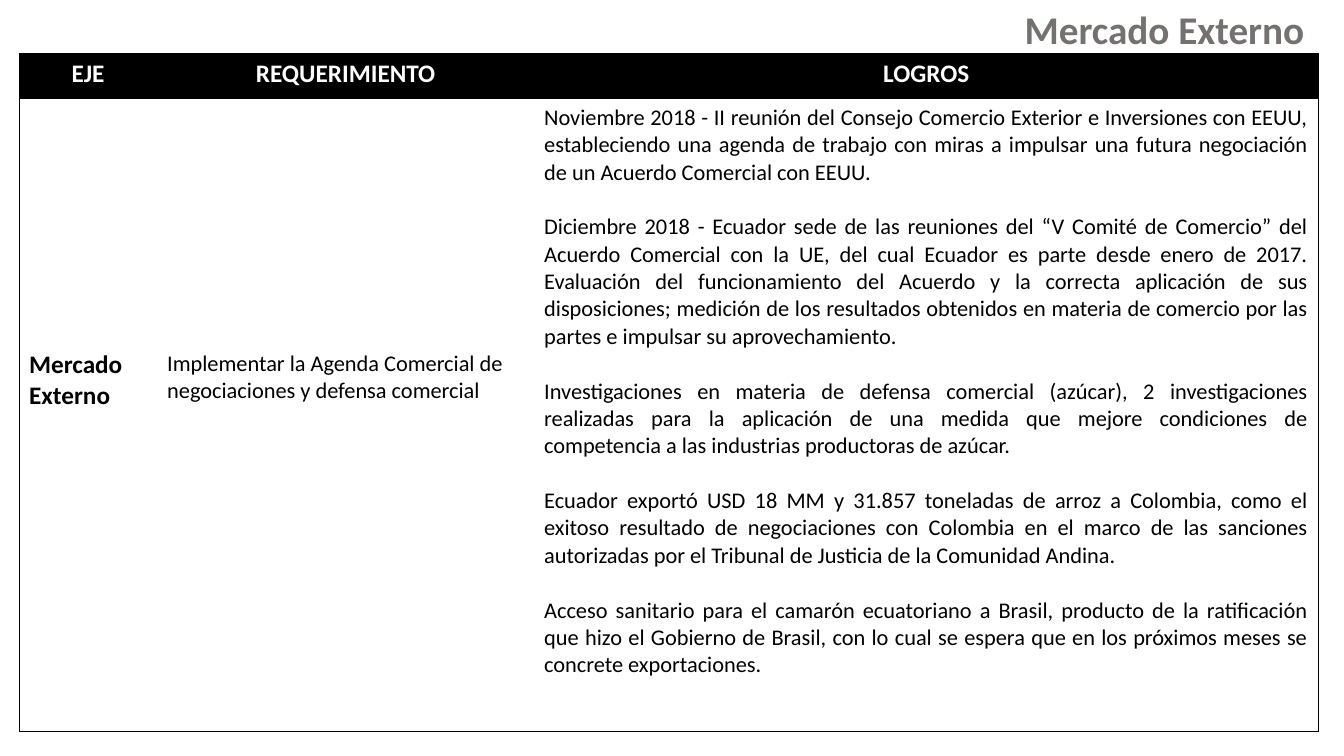
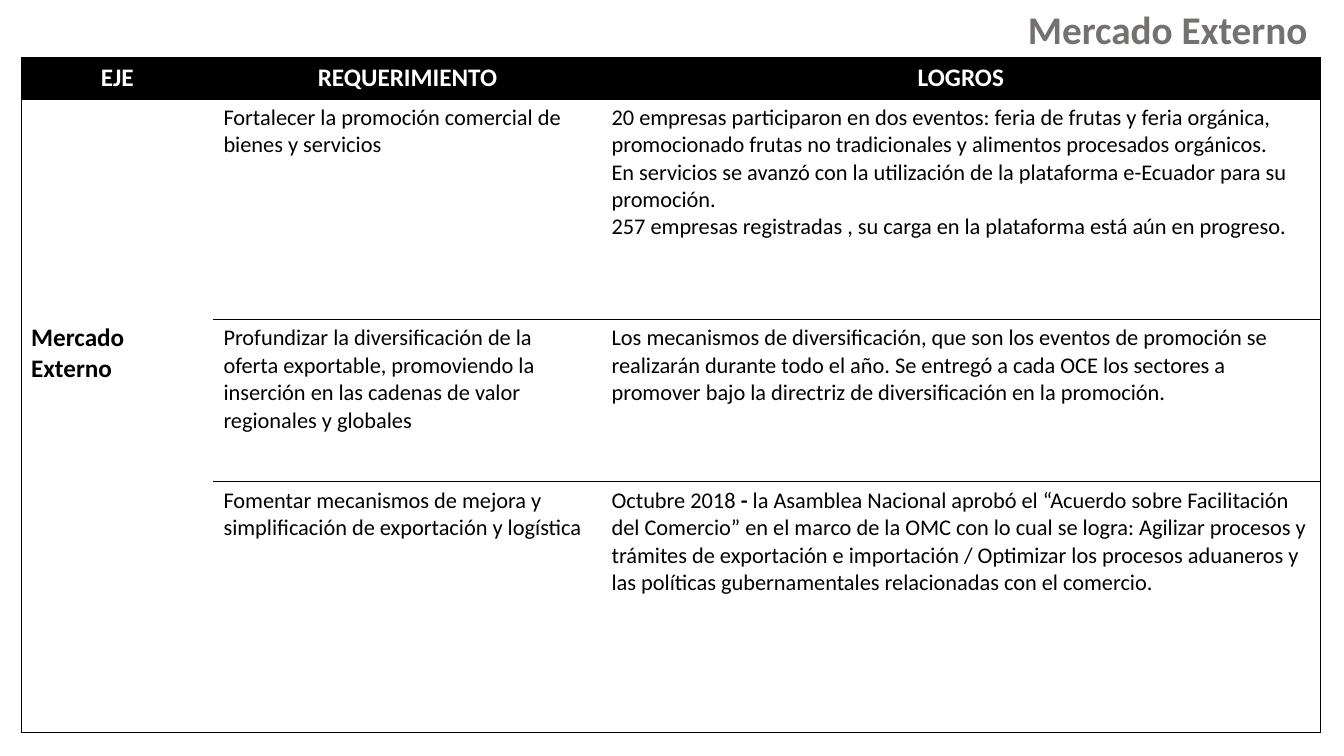
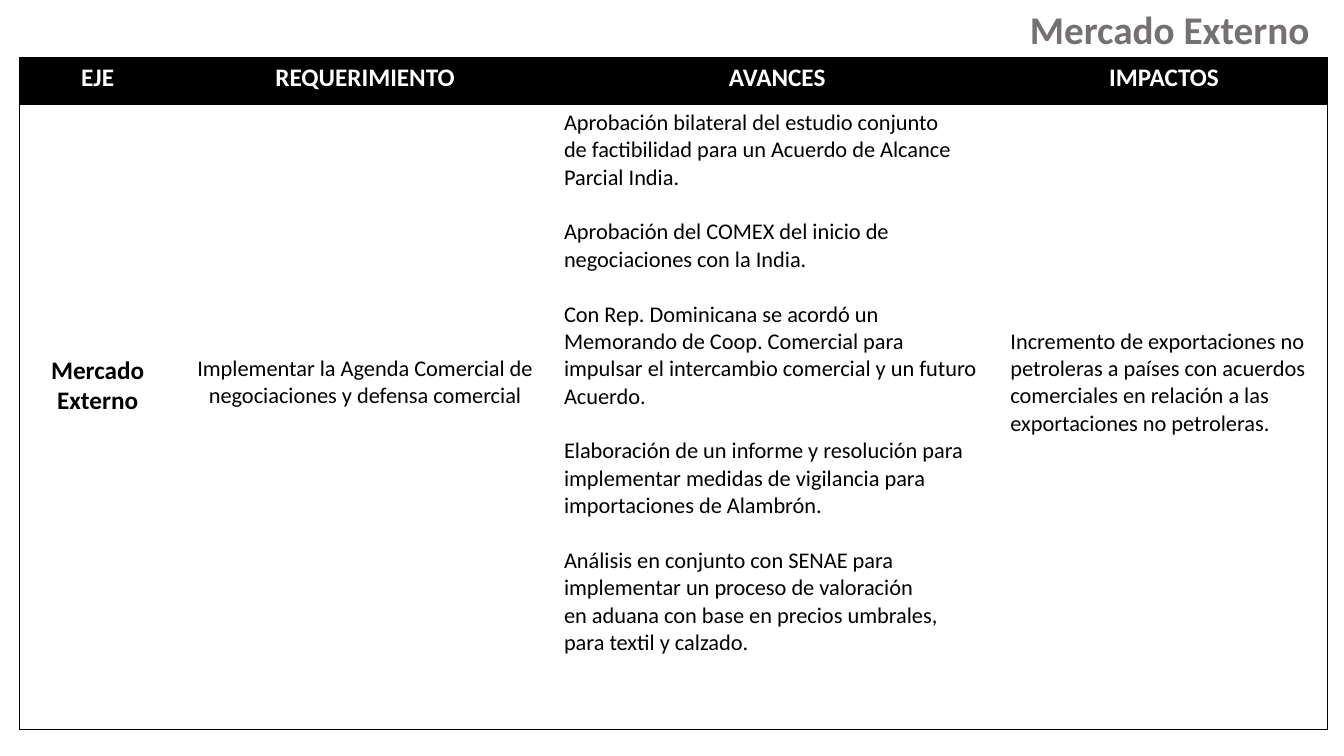
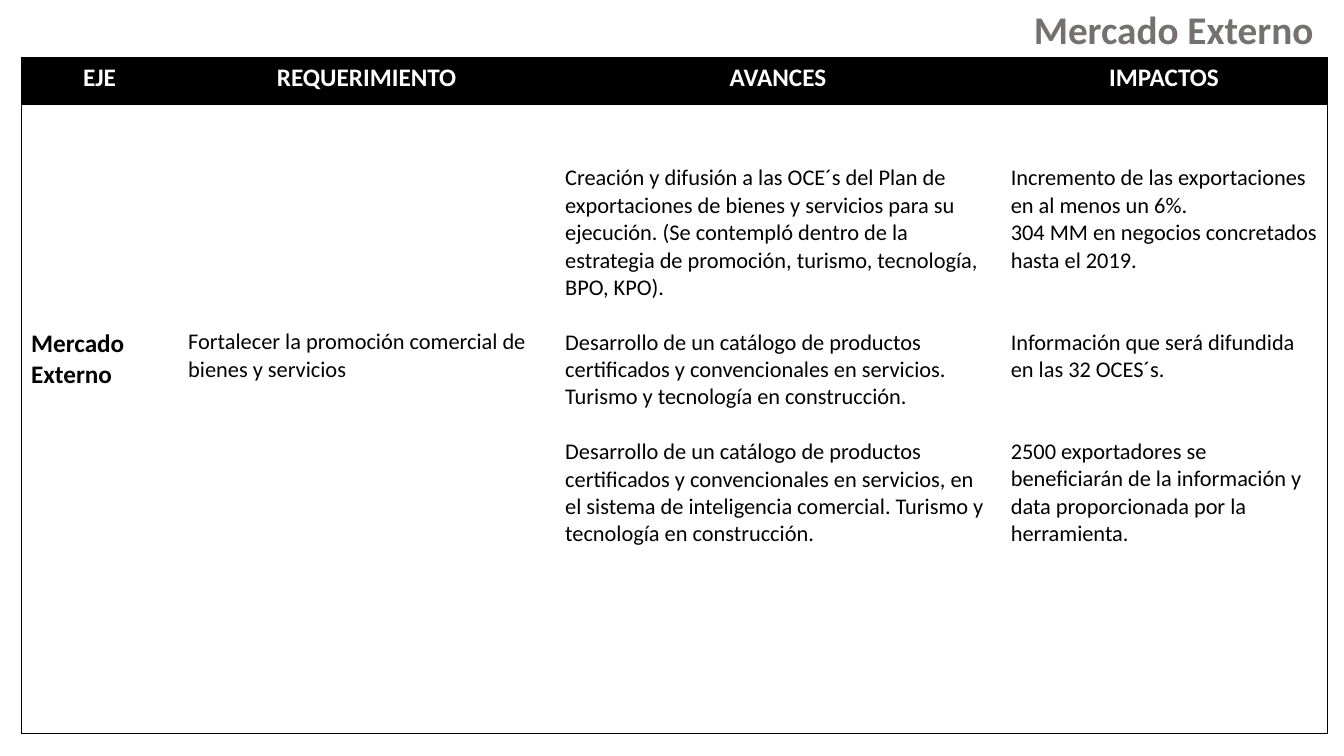
from dataclasses import dataclass

from lxml import etree
from pptx import Presentation
from pptx import util as u
from pptx.dml.color import RGBColor
from pptx.enum import text
from pptx.oxml.ns import qn

COLORS = {"title": "767171", "ink": "000000", "paper": "FFFFFF"}
FONT = "Calibri"
LINE_HEIGHT = u.Pt(19.53)
CELL_MARGIN = u.Cm(0.13)
BORDER_WIDTH = u.Pt(0.5)
TITLE_WIDTH, TITLE_HEIGHT = u.Cm(10.95), u.Cm(1.45)

LEFT, CENTER, RIGHT, JUSTIFY = (
    text.PP_ALIGN.LEFT,
    text.PP_ALIGN.CENTER,
    text.PP_ALIGN.RIGHT,
    text.PP_ALIGN.JUSTIFY,
)


@dataclass
class Entry:
    """Paragraphs as (empty lines above, wording); | switches bold on and off."""

    paragraphs: list
    alignment: int = LEFT
    size: int = 16
    bold: bool = False
    color: str = "ink"


def heading(wording):
    return Entry([(0, wording)], CENTER, 18, True, "paper")


def axis(lines_above, alignment=LEFT):
    return Entry([(lines_above, "Mercado Externo")], alignment, 18, True)


def spaced(*wordings):
    return [(int(index > 0), wording) for index, wording in enumerate(wordings)]


def style_font(font, size, bold, color):
    font.name = FONT
    font.size = u.Pt(size)
    font.bold = bold
    font.color.rgb = RGBColor.from_string(COLORS[color])


def add_title(slide, right):
    title = slide.shapes.title
    title.left, title.top = right - TITLE_WIDTH, 0
    title.width, title.height = TITLE_WIDTH, TITLE_HEIGHT
    frame = title.text_frame
    frame.text = "Mercado Externo"
    frame.auto_size = text.MSO_AUTO_SIZE.NONE
    frame.vertical_anchor = text.MSO_ANCHOR.TOP
    paragraph = frame.paragraphs[0]
    paragraph.alignment = RIGHT
    style_font(paragraph.runs[0].font, 28, True, "title")


def set_borders(cell, visible):
    properties = cell._tc.get_or_add_tcPr()
    for side in "LRTB":
        line = etree.SubElement(properties, qn(f"a:ln{side}"), w=str(BORDER_WIDTH))
        if side in visible:
            fill = etree.SubElement(line, qn("a:solidFill"))
            etree.SubElement(fill, qn("a:srgbClr"), val=COLORS["ink"])
        else:
            etree.SubElement(line, qn("a:noFill"))


def fill_text(cell, entry):
    frame = cell.text_frame
    for index, (lines_above, wording) in enumerate(entry.paragraphs):
        gap = int(lines_above * LINE_HEIGHT)
        if index == 0:
            paragraph = frame.paragraphs[0]
            cell.margin_top = CELL_MARGIN + gap
        else:
            paragraph = frame.add_paragraph()
            paragraph.space_before = gap
        paragraph.alignment = entry.alignment
        for part, segment in enumerate(wording.split("|")):
            for number, line in enumerate(segment.split("\n")):
                if number:
                    paragraph.add_line_break()
                run = paragraph.add_run()
                run.text = line
                style_font(run.font, entry.size, entry.bold or part % 2 == 1, entry.color)


def add_grid(slide, left, top, widths, heights, rows):
    table = slide.shapes.add_table(
        len(heights), len(widths), left, top,
        u.Cm(sum(widths)), u.Cm(sum(heights)),
    ).table
    for column, width in zip(table.columns, widths):
        column.width = u.Cm(width)
    for row, height in zip(table.rows, heights):
        row.height = u.Cm(height)
    if len(heights) > 2:
        table.cell(1, 0).merge(table.cell(len(heights) - 1, 0))

    for row_index, entries in enumerate(rows):
        for column_index, entry in enumerate(entries):
            cell = table.cell(row_index, column_index)
            visible = ""
            if column_index == 0:
                visible += "L"
            if column_index == len(widths) - 1:
                visible += "R"
            if entry:
                visible += "T"
            if entry or row_index == len(heights) - 1:
                visible += "B"
            set_borders(cell, visible)
            cell.fill.solid()
            background = "ink" if row_index == 0 else "paper"
            cell.fill.fore_color.rgb = RGBColor.from_string(COLORS[background])
            if entry:
                fill_text(cell, entry)


def add_market_slide(presentation, title_right, left, top, widths, heights, headings, body):
    slide = presentation.slides.add_slide(presentation.slide_layouts[5])
    add_title(slide, u.Cm(title_right))
    rows = [[heading(wording) for wording in headings], *body]
    add_grid(slide, u.Cm(left), u.Cm(top), widths, heights, rows)


ACHIEVEMENTS = ["EJE", "REQUERIMIENTO", "LOGROS"]
PROGRESS = ["EJE", "REQUERIMIENTO", "AVANCES", "IMPACTOS"]
AGENDA = "Implementar la Agenda Comercial de negociaciones y defensa comercial"
PROMOTION = "Fortalecer la promoción comercial de bienes y servicios"

SLIDES = [
    dict(
        title_right=33.12, left=0.48, top=1.35,
        widths=[3.48, 9.5, 19.76], heights=[1.14, 15.93],
        headings=ACHIEVEMENTS,
        body=[[
            axis(9),
            Entry([(9, AGENDA)]),
            Entry(spaced(
                "Noviembre 2018 - II reunión del Consejo Comercio Exterior e Inversiones con EEUU, estableciendo una agenda de trabajo con miras a impulsar una futura negociación de un Acuerdo Comercial con EEUU.",
                "Diciembre 2018 - Ecuador sede de las reuniones del “V Comité de Comercio” del Acuerdo Comercial con la UE, del cual Ecuador es parte desde enero de 2017. Evaluación del funcionamiento del Acuerdo y la correcta aplicación de sus disposiciones; medición de los resultados obtenidos en materia de comercio por las partes e impulsar su aprovechamiento.",
                "Investigaciones en materia de defensa comercial (azúcar), 2 investigaciones realizadas para la aplicación de una medida que mejore condiciones de competencia a las industrias productoras de azúcar.",
                "Ecuador exportó USD 18 MM y 31.857 toneladas de arroz a Colombia, como el exitoso resultado de negociaciones con Colombia en el marco de las sanciones autorizadas por el Tribunal de Justicia de la Comunidad Andina.",
                "Acceso sanitario para el camarón ecuatoriano a Brasil, producto de la ratificación que hizo el Gobierno de Brasil, con lo cual se espera que en los próximos meses se concrete exportaciones.",
            ), JUSTIFY),
        ]],
    ),
    dict(
        title_right=33.2, left=0.53, top=1.45,
        widths=[4.85, 9.78, 18.11], heights=[1.04, 5.56, 4.09, 6.32],
        headings=ACHIEVEMENTS,
        body=[
            [
                axis(8),
                Entry([(0, PROMOTION)]),
                Entry([
                    (0, "20 empresas participaron en dos eventos: feria de frutas y feria orgánica, promocionado frutas no tradicionales y alimentos procesados orgánicos."),
                    (0, "En servicios se avanzó con la utilización de la plataforma e-Ecuador para su promoción."),
                    (0, "257 empresas registradas , su carga en la plataforma está aún en progreso."),
                ]),
            ],
            [
                None,
                Entry([(0, "Profundizar la diversificación de la oferta exportable, promoviendo la inserción en las cadenas de valor regionales y globales")]),
                Entry([(0, "Los mecanismos de diversificación, que son los eventos de promoción se realizarán durante todo el año. Se entregó a cada OCE los sectores a promover bajo la directriz de diversificación en la promoción.")]),
            ],
            [
                None,
                Entry([(0, "Fomentar mecanismos de mejora y simplificación de exportación y logística")]),
                Entry([(0, "Octubre 2018 |- |la Asamblea Nacional aprobó el “Acuerdo sobre Facilitación del Comercio” en el marco de la OMC con lo cual se logra: Agilizar procesos y trámites de exportación e importación / Optimizar los procesos aduaneros y las políticas gubernamentales relacionadas con el comercio.")]),
            ],
        ],
    ),
    dict(
        title_right=33.25, left=0.48, top=1.45,
        widths=[3.96, 9.52, 11.25, 8.25], heights=[1.17, 15.77],
        headings=PROGRESS,
        body=[[
            axis(9, CENTER),
            Entry([(9, AGENDA)], CENTER),
            Entry(spaced(
                "Aprobación bilateral del estudio conjunto\nde factibilidad para un Acuerdo de Alcance\nParcial India.",
                "Aprobación del COMEX del inicio de\nnegociaciones con la India.",
                "Con Rep. Dominicana se acordó un\nMemorando de Coop. Comercial para\nimpulsar el intercambio comercial y un futuro\nAcuerdo.",
                "Elaboración de un informe y resolución para\nimplementar medidas de vigilancia para\nimportaciones de Alambrón.",
                "Análisis en conjunto con SENAE para\nimplementar un proceso de valoración\nen aduana con base en precios umbrales,\npara textil y calzado.",
            )),
            Entry([(8, "Incremento de exportaciones no petroleras a países con acuerdos comerciales en relación a las exportaciones no petroleras.")]),
        ]],
    ),
    dict(
        title_right=33.35, left=0.53, top=1.45,
        widths=[3.96, 9.5, 11.23, 8.23], heights=[1.19, 15.85],
        headings=PROGRESS,
        body=[[
            axis(8),
            Entry([(8, PROMOTION)]),
            Entry([
                (2, "Creación y difusión a las OCE´s del Plan de exportaciones de bienes y servicios para su ejecución. (Se contempló dentro de la estrategia de promoción, turismo, tecnología, BPO, KPO)."),
                (1, "Desarrollo de un catálogo de productos certificados y convencionales en servicios. Turismo y tecnología en construcción."),
                (1, "Desarrollo de un catálogo de productos certificados y convencionales en servicios, en el sistema de inteligencia comercial. Turismo y tecnología en construcción."),
            ]),
            Entry([
                (2, "Incremento de las exportaciones en al menos un 6%."),
                (0, "304 MM en negocios concretados hasta el 2019."),
                (2, "Información que será difundida en las 32 OCES´s."),
                (2, "2500 exportadores se beneficiarán de la información y data proporcionada por la herramienta."),
            ]),
        ]],
    ),
]


def main():
    presentation = Presentation()
    presentation.slide_width = u.Cm(33.87)
    presentation.slide_height = u.Cm(19.05)
    for content in SLIDES:
        add_market_slide(presentation, **content)
    presentation.save("out.pptx")


if __name__ == "__main__":
    main()
